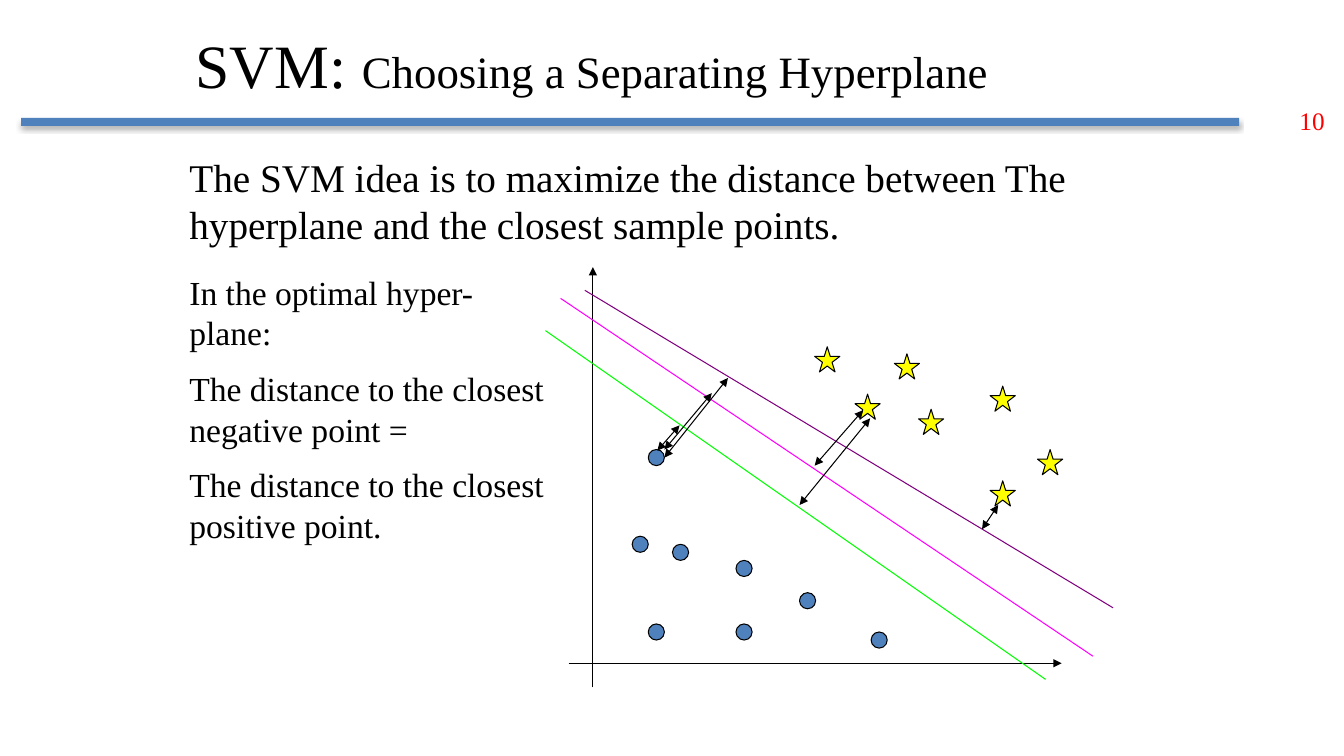
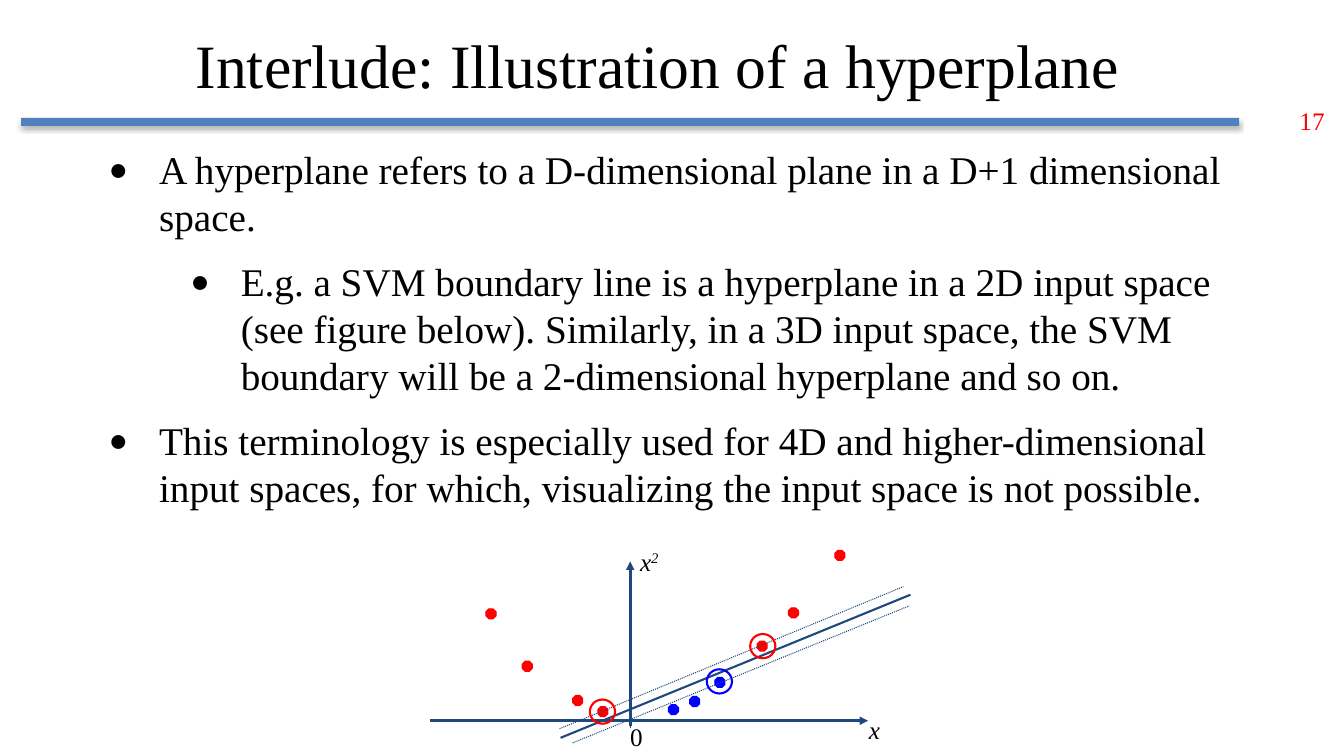
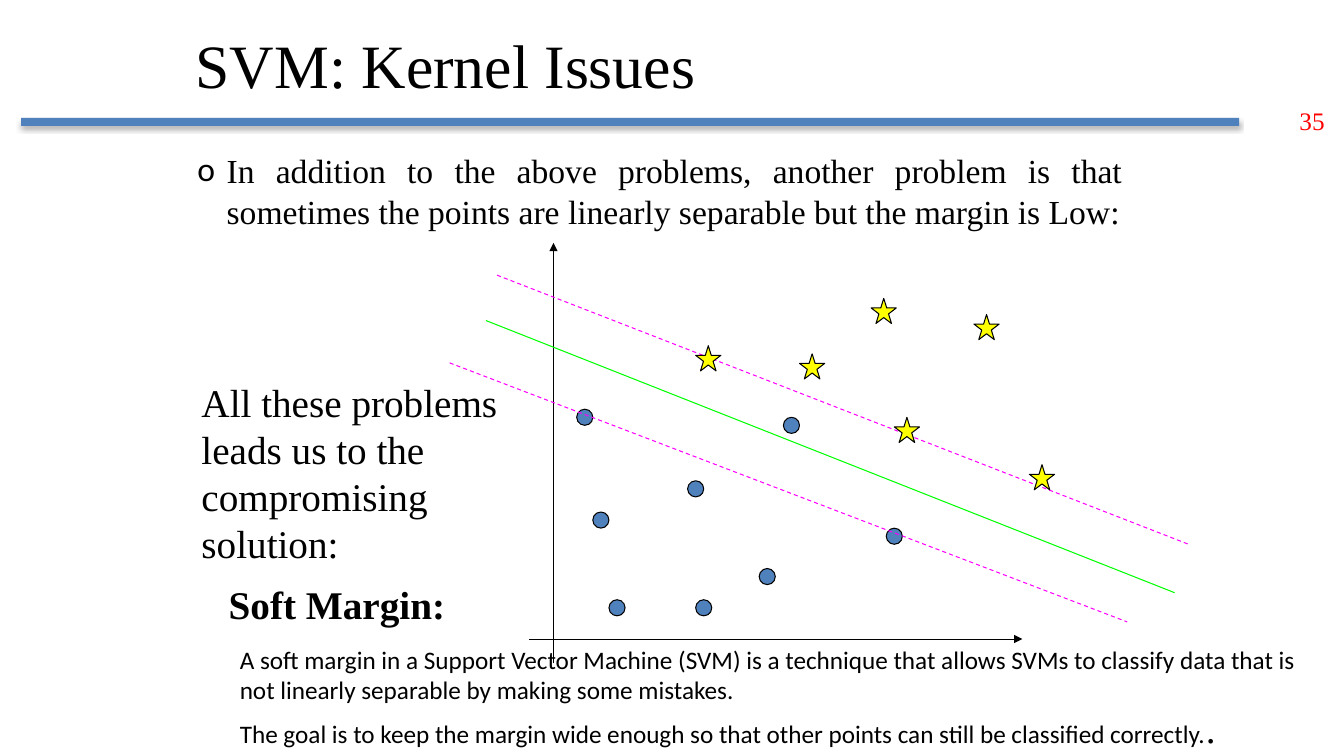
from dataclasses import dataclass, replace

from lxml.etree import SubElement
from pptx import Presentation
from pptx.dml.color import RGBColor
from pptx.enum.dml import MSO_LINE_DASH_STYLE as Dash
from pptx.enum.shapes import MSO_CONNECTOR_TYPE as Connector
from pptx.enum.shapes import MSO_SHAPE as Shape
from pptx.enum.text import MSO_ANCHOR as Anchor
from pptx.enum.text import MSO_AUTO_SIZE as AutoSize
from pptx.enum.text import PP_ALIGN as Align
from pptx.oxml.ns import qn
from pptx.util import Inches, Pt

COLUMNS, ROWS = 1333, 750


@dataclass(frozen=True)
class TextStyle:
    size: int
    font: str = "Times New Roman"
    color: str = "000000"
    bold: bool = False
    italic: bool = False
    raised: bool = False


@dataclass(frozen=True)
class Theme:
    black: str = "000000"
    band: str = "4F81BD"
    navy: str = "1F497D"
    red: str = "FF0000"
    blue: str = "0000FF"
    yellow: str = "FFFF00"
    green: str = "00FF00"
    magenta: str = "FF00FF"
    purple: str = "800080"
    thin: float = 0.75
    medium: float = 1.5
    thick: float = 2
    paragraph_gap: float = 0.46
    bullet_font: str = "Calibri"
    title: TextStyle = TextStyle(44)
    subtitle: TextStyle = TextStyle(32)
    body: TextStyle = TextStyle(28)
    detail: TextStyle = TextStyle(24)
    number: TextStyle = TextStyle(18, color="FF0000")
    label: TextStyle = TextStyle(18)
    note: TextStyle = TextStyle(18, font="Calibri")


class Deck:
    def __init__(self, theme):
        self.theme = theme
        self.presentation = Presentation()
        self.presentation.slide_width = Inches(13.33)
        self.presentation.slide_height = Inches(7.5)
        self.layout = self.presentation.slide_layouts[5]
        self.slide = None

    def grid(self, column, row):
        return (round(self.presentation.slide_width * column / COLUMNS),
                round(self.presentation.slide_height * row / ROWS))

    def begin(self, number, title, tail=None, width=858):
        self.slide = self.presentation.slides.add_slide(self.layout)
        if len(self.presentation.slides) == 1:
            self.band()
        self.text(1279, 100, 50, 40, str(number), self.theme.number)
        placeholder = self.slide.shapes.title
        placeholder.left, placeholder.top = self.grid(184, 16)
        placeholder.width, placeholder.height = self.grid(width, 94)
        self.set_text(placeholder.text_frame, title, self.theme.title, tail)
        placeholder.text_frame.vertical_anchor = Anchor.MIDDLE

    def band(self):
        band = self.shape(Shape.RECTANGLE, 21, 117, 1208, 8, fill=self.theme.band)
        effects = band.element.spPr.find(qn("a:effectLst"))
        shadow = SubElement(effects, qn("a:outerShdw"), blurRad=str(Pt(3.5)),
                            dist=str(Pt(2.2)), dir="5400000", rotWithShape="0")
        color = SubElement(shadow, qn("a:srgbClr"), val=self.theme.black)
        SubElement(color, qn("a:alpha"), val="32000")
        band.element.nvSpPr.cNvPr.set("id", "20")
        self.layout.shapes.element.append(band.element)

    def format_run(self, run, style):
        run.font.size = Pt(style.size)
        run.font.name = style.font
        run.font.bold = style.bold
        run.font.italic = style.italic
        run.font.color.rgb = RGBColor.from_string(style.color)
        if style.raised:
            run._r.get_or_add_rPr().set("baseline", "30000")

    def set_text(self, text_frame, text, style, tail=None, align=Align.LEFT, gap=0):
        text_frame.text = text
        text_frame.word_wrap = True
        text_frame.auto_size = AutoSize.NONE
        for index, paragraph in enumerate(text_frame.paragraphs):
            paragraph.alignment = align
            paragraph.space_before = Pt(style.size * gap if index else 0)
            for run in paragraph.runs:
                self.format_run(run, style)
        if tail:
            run = text_frame.paragraphs[-1].add_run()
            run.text, tail_style = tail
            self.format_run(run, tail_style)

    def text(self, left, top, width, height, text, style, **options):
        box = self.slide.shapes.add_textbox(*self.grid(left, top), *self.grid(width, height))
        self.set_text(box.text_frame, text, style, **options)
        return box.text_frame.paragraphs

    def bullet(self, paragraph, character, margin, hanging, level=0):
        paragraph.level = level
        properties = paragraph._p.get_or_add_pPr()
        properties.set("marL", str(self.grid(margin, 0)[0]))
        properties.set("indent", str(-self.grid(hanging, 0)[0]))
        SubElement(properties, qn("a:buFont"), typeface=self.theme.bullet_font)
        SubElement(properties, qn("a:buChar"), char=character)

    def shape(self, kind, left, top, width, height, fill=None, line=None, weight=0.75):
        shape = self.slide.shapes.add_shape(
            kind, *self.grid(left, top), *self.grid(width, height))
        shape.shadow.inherit = False
        if fill:
            shape.fill.solid()
            shape.fill.fore_color.rgb = RGBColor.from_string(fill)
        else:
            shape.fill.background()
        if line:
            shape.line.color.rgb = RGBColor.from_string(line)
            shape.line.width = Pt(weight)
        else:
            shape.line.fill.background()
        return shape

    def marks(self, kind, size, places, fill, line):
        for left, top in places:
            self.shape(kind, left, top, size, size, fill, line, self.theme.thin)

    def circles(self, places):
        self.marks(Shape.FLOWCHART_CONNECTOR, 16, places, self.theme.band, self.theme.black)

    def stars(self, places):
        self.marks(Shape.STAR_5_POINT, 25, places, self.theme.yellow, self.theme.black)

    def dots(self, places, color):
        self.marks(Shape.OCTAGON, 10, places, color, color)

    def line(self, start, end, color, weight=None, dash=None, ends=()):
        connector = self.slide.shapes.add_connector(
            Connector.STRAIGHT, *self.grid(*start), *self.grid(*end))
        connector.line.color.rgb = RGBColor.from_string(color)
        connector.line.width = Pt(weight or self.theme.thin)
        if dash:
            connector.line.dash_style = dash
        properties = connector.element.spPr
        for end_name in ends:
            SubElement(properties.find(qn("a:ln")), qn(f"a:{end_name}"), type="triangle")
        SubElement(properties, qn("a:effectLst"))

    def arrow(self, start, end, color, weight=None):
        self.line(start, end, color, weight, ends=("tailEnd",))

    def distance(self, start, end):
        self.line(start, end, self.theme.black, ends=("headEnd", "tailEnd"))

    def axes(self, column, row):
        self.arrow((column - 24, row), (column + 465, row), self.theme.black)
        self.arrow((column, row + 24), (column, row - 393), self.theme.black)


def separating_hyperplane(deck):
    theme = deck.theme
    deck.begin(10, "SVM: ", ("Choosing a Separating Hyperplane", theme.subtitle))
    deck.axes(588, 658)
    deck.circles([(627, 532), (667, 540), (643, 619), (730, 556),
                  (730, 619), (643, 446), (864, 627), (793, 588)])
    deck.line((541, 328), (1037, 674), theme.green)
    deck.stars([(911, 406), (848, 391), (982, 383), (982, 477),
                (1029, 446), (887, 351), (808, 344)])
    deck.line((580, 288), (1104, 603), theme.purple)
    deck.line((556, 296), (1084, 651), theme.magenta)
    for start, end in [((652, 447), (674, 422)), ((793, 501), (863, 415)),
                       ((659, 454), (722, 375)), ((974, 525), (990, 501)),
                       ((659, 446), (706, 390)), ((808, 462), (856, 407))]:
        deck.distance(start, end)
    deck.text(178, 147, 921, 103,
              "The SVM idea is to maximize the distance between The hyperplane "
              "and the closest sample points.", theme.body)
    deck.text(178, 265, 386, 353,
              "In the optimal hyper- plane:\n"
              "The distance to the closest negative point =\n"
              "The distance to the closest positive point.",
              theme.detail, gap=theme.paragraph_gap)


def hyperplane_illustration(deck):
    theme = deck.theme
    deck.begin(17, "Interlude: Illustration of a hyperplane", width=963)
    paragraphs = deck.text(
        98, 139, 1157, 458,
        "A hyperplane refers to a D-dimensional plane in a D+1 dimensional space.\n"
        "E.g. a SVM boundary line is a hyperplane in a 2D input space (see figure below). "
        "Similarly, in a 3D input space, the SVM boundary will be a 2-dimensional "
        "hyperplane and so on.\n"
        "This terminology is especially used for 4D and higher-dimensional input spaces, "
        "for which, visualizing the input space is not possible.",
        theme.body, gap=theme.paragraph_gap)
    for paragraph, margin, level in zip(paragraphs, (50, 131, 50), (0, 1, 0)):
        deck.bullet(paragraph, "•", margin, 50, level)

    variable = replace(theme.label, italic=True)
    deck.text(615, 711, 38, 40, "0", theme.label)
    deck.text(852, 704, 50, 40, "x", variable)
    deck.text(625, 537, 50, 40, "x", variable, tail=("2", replace(variable, raised=True)))
    deck.arrow((427, 715), (861, 715), theme.navy, theme.thick)
    deck.line((625, 709), (625, 722), theme.navy)
    deck.arrow((625, 720), (625, 557), theme.navy, theme.thick)
    deck.dots([(482, 604), (518, 656), (568, 690), (593, 701),
               (751, 636), (782, 603), (828, 546)], theme.red)
    deck.dots([(684, 691), (709, 672), (663, 699)], theme.blue)
    deck.line((556, 732), (903, 590), theme.navy, theme.medium)
    for start, end in [((555, 723), (896, 582)), ((568, 737), (902, 601))]:
        deck.line(start, end, theme.navy, dash=Dash.ROUND_DOT)
    for left, top, color in [(744, 629, theme.red), (701, 664, theme.blue),
                             (585, 694, theme.red)]:
        deck.shape(Shape.OVAL, left, top, 25, 24, line=color, weight=theme.medium)


def kernel_issues(deck):
    theme = deck.theme
    deck.begin(35, "SVM: Kernel Issues")
    paragraphs = deck.text(
        186, 144, 937, 91,
        "In addition to the above problems, another problem is that sometimes the points "
        "are linearly separable but the margin is Low:",
        theme.detail, align=Align.JUSTIFY)
    deck.bullet(paragraphs[0], "o", 29, 29)
    deck.axes(549, 634)
    deck.circles([(588, 508), (682, 477), (604, 595), (777, 414),
                  (690, 595), (572, 406), (879, 524), (753, 564)])
    deck.line((446, 360), (1118, 617), theme.magenta, dash=Dash.DASH)
    deck.line((482, 318), (1165, 588), theme.green)
    deck.line((493, 273), (1179, 540), theme.magenta, dash=Dash.DASH)
    deck.stars([(690, 343), (966, 312), (864, 296), (793, 351), (887, 414), (1021, 461)])
    deck.text(190, 370, 358, 269,
              "All these problems leads us to the compromising solution:", theme.body)
    deck.text(217, 571, 268, 57, "Soft Margin:", replace(theme.body, bold=True))
    deck.text(228, 634, 1076, 118,
              "A soft margin in a Support Vector Machine (SVM) is a technique that allows SVMs "
              "to classify data that is not linearly separable by making some mistakes.\n"
              "The goal is to keep the margin wide enough so that other points can still be "
              "classified correctly.", theme.note, tail=(".", theme.body))


def main():
    deck = Deck(Theme())
    separating_hyperplane(deck)
    hyperplane_illustration(deck)
    kernel_issues(deck)
    deck.presentation.save("out.pptx")


if __name__ == "__main__":
    main()
